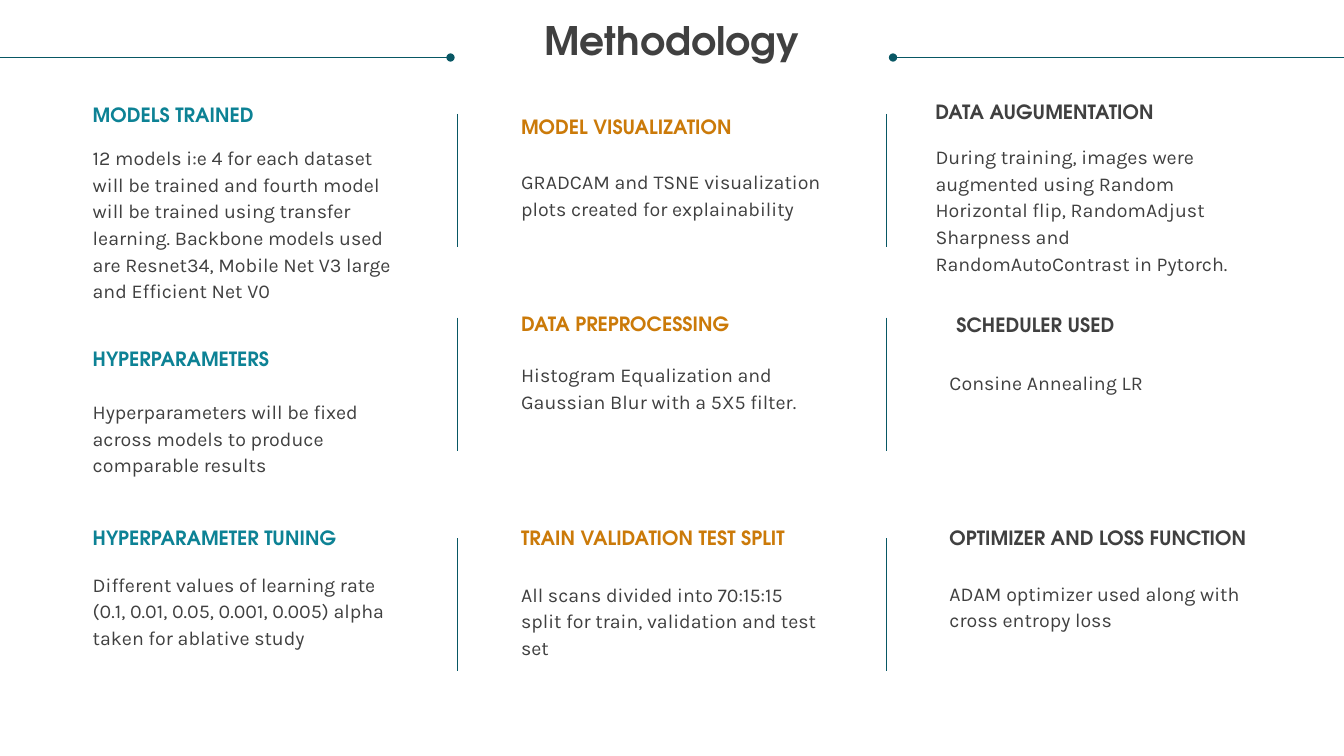
from lxml import etree
from pptx import Presentation
from pptx.dml.color import RGBColor
from pptx.enum.shapes import MSO_CONNECTOR
from pptx.enum.text import MSO_ANCHOR, MSO_AUTO_SIZE, PP_ALIGN
from pptx.oxml.ns import qn
from pptx.util import Pt

STRAIGHT = MSO_CONNECTOR.STRAIGHT
TOP, LEFT, CENTER = MSO_ANCHOR.TOP, PP_ALIGN.LEFT, PP_ALIGN.CENTER
GROW = MSO_AUTO_SIZE.SHAPE_TO_FIT_TEXT

TEAL = RGBColor(0x0D, 0x82, 0x95)
ORANGE = RGBColor(0xCB, 0x7A, 0x09)
GRAY = RGBColor(0x40, 0x40, 0x40)
LINE = RGBColor(0x08, 0x57, 0x64)

TITLE = "Methodology"
# Per column: heading colour, then
# (heading, heading top, heading shift, body, body top, body shift, body lines)
COLUMNS = [
    (TEAL, [
        ("MODELS TRAINED", 71.3, 0,
         "12 models i:e 4 for each dataset will be trained and fourth model "
         "will be trained using transfer learning. Backbone models used are "
         "Resnet34, Mobile Net V3 large and Efficient Net V0", 102.2, 0, 6),
        ("HYPERPARAMETERS", 245.5, 0,
         "Hyperparameters will be fixed across models to produce comparable "
         "results", 283.7, 0, 3),
        ("HYPERPARAMETER TUNING", 373.7, 0,
         "Different values of learning rate (0.1, 0.01, 0.05, 0.001, 0.005) "
         "alpha taken for ablative study", 406.8, 0, 3),
    ]),
    (ORANGE, [
        ("MODEL VISUALIZATION", 79.9, 0,
         "GRADCAM and TSNE visualization plots created for explainability",
         119.5, 0, 2),
        ("DATA PREPROCESSING", 220.3, 0,
         "Histogram Equalization and Gaussian Blur with a 5X5 filter.",
         257, 0, 2),
        ("TRAIN VALIDATION TEST SPLIT", 373.7, 0,
         "All scans divided into 70:15:15 split for train, validation and "
         "test set", 414, 0, 3),
    ]),
    (GRAY, [
        ("DATA AUGUMENTATION", 69.1, -10,
         "During training, images were augmented using Random Horizontal "
         "flip, RandomAdjust Sharpness and RandomAutoContrast in Pytorch.",
         101.5, -10, 5),
        ("SCHEDULER USED", 221, 5, "Consine Annealing LR", 262.8, 0, 1),
        ("OPTIMIZER AND LOSS FUNCTION", 373.7, 0,
         "ADAM optimizer used along with cross entropy loss", 413.3, 0, 2),
    ]),
]

WIDTH, HEIGHT = 960, 540
COL_LEFT, COL_PITCH, COL_WIDTH = 66.24, 306, 216
LINE_PITCH = 19
DIVIDER_LEFT, DIVIDER_HEIGHT = 326.9, 95
DIVIDER_TOPS = (81.4, 226.8, 384.5)
RULE_TOP = 41.1
RULES = [(0, 321.8, "tailEnd"), (637.9, WIDTH, "headEnd")]

HEAD = {"name": "TeX Gyre Adventor", "size": Pt(14), "bold": True}
BODY = {"name": "Karla", "size": Pt(14), "bold": False}


def write(shape, text, color, font, align, spacing):
    tf = shape.text_frame
    for side in ("left", "top", "right", "bottom"):
        setattr(tf, "margin_" + side, 0)
    tf.word_wrap = True
    tf.vertical_anchor = TOP
    p = tf.paragraphs[0]
    p.alignment, p.line_spacing = align, spacing
    p.space_before = p.space_after = Pt(0)
    r = p.add_run()
    r.text = text
    for key, value in font.items():
        setattr(r.font, key, value)
    r.font.color.rgb = color
    return tf


def add_text(s, x, y, width, lines, text, color, font):
    height = 18 + LINE_PITCH * (lines - 1)
    box = s.shapes.add_textbox(Pt(x), Pt(y), Pt(width), Pt(height))
    tf = write(box, text, color, font, LEFT, Pt(LINE_PITCH))
    tf.auto_size = GROW


def add_line(s, x1, y1, x2, y2, dot_end=None):
    c = s.shapes.add_connector(STRAIGHT, Pt(x1), Pt(y1), Pt(x2), Pt(y2))
    c.line.color.rgb = LINE
    c.line.width = Pt(0.5)
    if dot_end:
        ln = c.line._get_or_add_ln()
        etree.SubElement(ln, qn("a:" + dot_end), type="oval")
    etree.SubElement(c._element.spPr, qn("a:effectLst"))


def main():
    prs = Presentation()
    prs.slide_width, prs.slide_height = Pt(WIDTH), Pt(HEIGHT)
    s = prs.slides.add_slide(prs.slide_layouts[5])

    title = s.shapes.title
    title.left, title.top = Pt(18), Pt(15.1)
    title.width, title.height = Pt(WIDTH - 2 * 18), Pt(61.2)
    tf = write(title, TITLE, GRAY, HEAD | {"size": Pt(28)}, CENTER, 0.9)
    tf.auto_size = MSO_AUTO_SIZE.NONE

    for start, end, dot_end in RULES:
        add_line(s, start, RULE_TOP, end, RULE_TOP, dot_end)

    for i in range(len(COLUMNS) - 1):
        x = DIVIDER_LEFT + i * COL_PITCH
        for y in DIVIDER_TOPS:
            add_line(s, x, y, x, y + DIVIDER_HEIGHT)

    for i, (color, topics) in enumerate(COLUMNS):
        x = COL_LEFT + i * COL_PITCH
        for head, head_y, head_dx, body, body_y, body_dx, lines in topics:
            add_text(s, x + head_dx, head_y, COL_WIDTH, 1, head, color, HEAD)
            add_text(s, x + body_dx, body_y, COL_WIDTH - body_dx, lines,
                     body, GRAY, BODY)

    prs.save("out.pptx")


if __name__ == "__main__":
    main()
